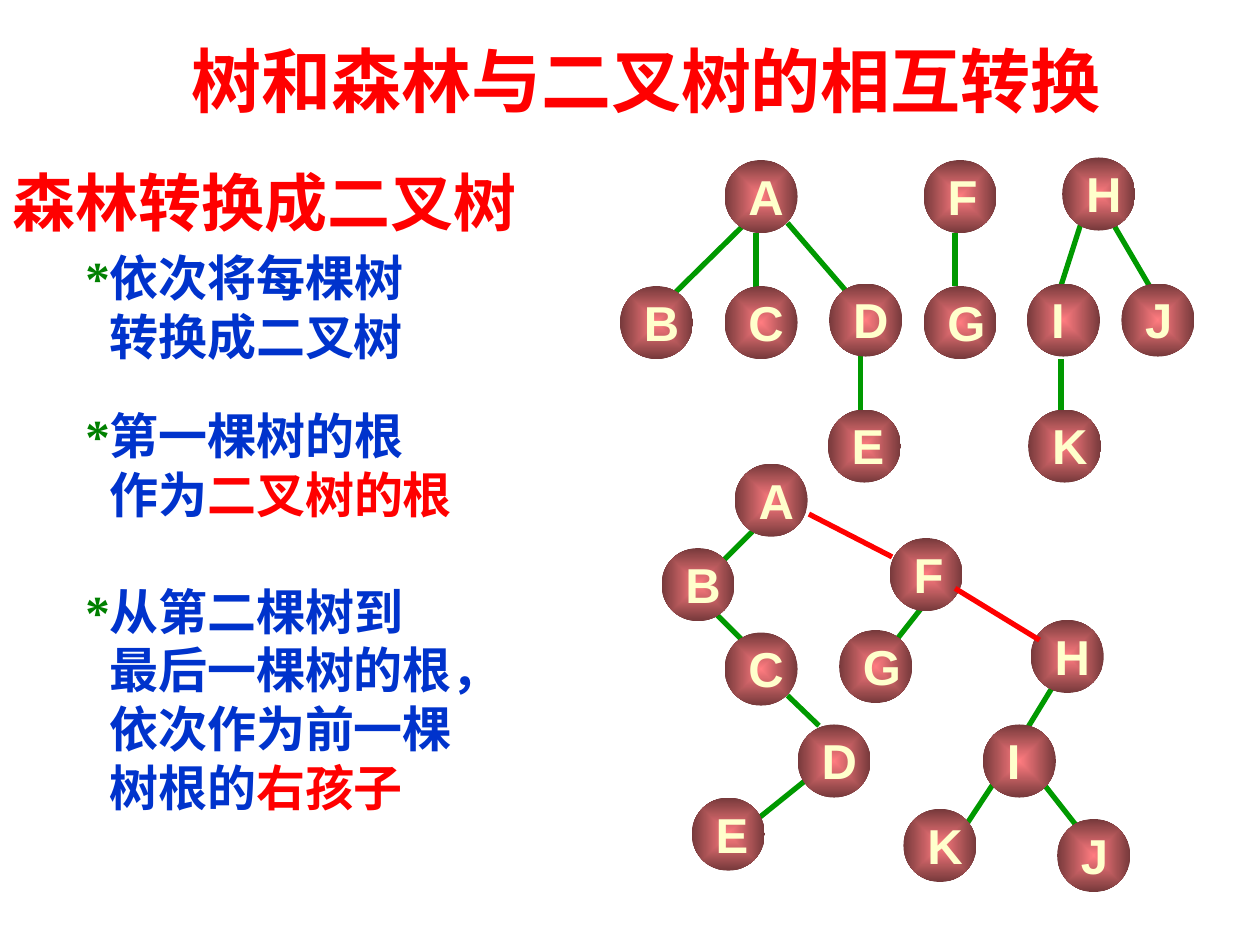
from dataclasses import dataclass

from pptx import Presentation
from pptx import util as u
from pptx.dml.color import RGBColor
from pptx.enum import shapes, text
from pptx.oxml import parse_xml
from pptx.oxml.ns import nsdecls, qn


@dataclass(frozen=True)
class Theme:
    """Colours, fonts and sizes of the slide."""
    heading: str = "FF0000"
    body: str = "0033CC"
    star: str = "008000"
    edge: str = "009900"
    link: str = "FF0000"
    letter: str = "FFFFCC"
    glow: str = "FF7C80"
    rim: str = "76393B"
    serif: str = "Times New Roman"
    sans: str = "Arial"
    title_size: int = 40
    subtitle_size: int = 36
    text_size: int = 28
    edge_width: int = 3


THEME = Theme()
NODE = 58
LETTER_WIDTHS = {"E": 46, "F": 44, "G": 50, "I": 31, "J": 41}

FOREST = dict(
    nodes={"A": (83, 2), "B": (0, 102), "C": (83, 102), "D": (166, 100), "E": (165, 200),
           "F": (241, 2), "G": (241, 102), "H": (351, 0), "I": (323, 100), "J": (398, 100),
           "K": (324, 200)},
    edges=[(391, 52, 425, 110), (366, 52, 350, 102), (350, 160, 350, 202), (133, 52, 183, 110),
           (100, 52, 41, 110), (108, 60, 108, 110), (266, 60, 266, 102), (191, 152, 191, 202)])
FIRST_TREE = dict(
    nodes={"A": (58, 0), "B": (0, 67), "C": (50, 134), "D": (108, 207), "E": (24, 265)},
    edges=[(100, 184, 125, 208), (91, 35, 33, 93), (41, 117, 66, 142), (116, 250, 75, 283)])
SECOND_TREE = dict(nodes={"F": (40, 0), "G": (0, 73)}, edges=[(65, 56, 32, 98)])
THIRD_TREE = dict(
    nodes={"H": (101, 0), "I": (63, 83), "J": (122, 158), "K": (0, 150)},
    edges=[(108, 126, 141, 168), (124, 44, 99, 85), (74, 126, 41, 176)])

FIRST_STEP = [
    [("*", THEME.star), ("依次将每棵树", THEME.body)],
    [("转换成二叉树", THEME.body)],
]
NEXT_STEPS = [
    [("*", THEME.star), ("第一棵树的根", THEME.body)],
    [("作为", THEME.body), ("二叉树的根", THEME.heading)],
    [("*", THEME.star), ("从第二棵树到", THEME.body)],
    [("最后一棵树的根，", THEME.body)],
    [("依次作为前一棵", THEME.body)],
    [("树根的", THEME.body), ("右孩子", THEME.heading)],
]


def px(length):
    """Turn px, 100 to the inch, into EMU."""
    return u.Emu(length * 9144)


def set_font(paragraph, size, color, name):
    """Format a paragraph in bold."""
    font = paragraph.font
    font.size, font.bold, font.name = u.Pt(size), True, name
    font.color.rgb = RGBColor.from_string(color)


def add_title(slide, box, words):
    """Move and format the title placeholder."""
    title = slide.shapes.title
    title.left, title.top, title.width, title.height = map(px, box)
    frame = title.text_frame
    frame.text = words
    frame.vertical_anchor = text.MSO_ANCHOR.TOP
    frame.auto_size = text.MSO_AUTO_SIZE.NONE
    frame.paragraphs[0].alignment = text.PP_ALIGN.LEFT
    set_font(frame.paragraphs[0], THEME.title_size, THEME.heading, THEME.serif)


def add_frame(parent, box, wrap=True):
    """Add a text box centred vertically and return its frame."""
    frame = parent.add_textbox(*map(px, box)).text_frame
    frame.word_wrap = wrap
    frame.vertical_anchor = text.MSO_ANCHOR.MIDDLE
    return frame


def add_subtitle(slide, box, words):
    """Place the heading above the steps."""
    frame = add_frame(slide.shapes, box)
    frame.text = words
    set_font(frame.paragraphs[0], THEME.subtitle_size, THEME.heading, THEME.serif)


def add_steps(slide, box, lines):
    """Place starred steps with indented continuation lines."""
    frame = add_frame(slide.shapes, box)
    for index, parts in enumerate(lines):
        line = frame.paragraphs[0] if index == 0 else frame.add_paragraph()
        if parts[0][0] != "*":
            line._p.get_or_add_pPr().set("marL", str(px(19)))
        elif index:
            line.space_before = u.Pt(33)
        set_font(line, THEME.text_size, THEME.body, THEME.serif)
        for words, color in parts:
            run = line.add_run()
            run.text = words
            run.font.color.rgb = RGBColor.from_string(color)


def add_edge(parent, start, end, color):
    """Draw a straight edge without shadow."""
    edge = parent.add_connector(shapes.MSO_CONNECTOR.STRAIGHT, *map(px, (*start, *end)))
    edge.line.color.rgb = RGBColor.from_string(color)
    edge.line.width = u.Pt(THEME.edge_width)
    edge._element.spPr.append(parse_xml(f"<a:effectLst {nsdecls('a')}/>"))


def add_ball(parent, left, top):
    """Draw a node with a glow from its centre."""
    ball = parent.add_shape(shapes.MSO_SHAPE.OVAL, *map(px, (left, top, NODE, NODE)))
    ball.shadow.inherit = False
    ball.line.fill.background()
    ball.fill.gradient()
    for stop, color, position in zip(ball.fill.gradient_stops, (THEME.glow, THEME.rim), (0, 1)):
        stop.color.rgb = RGBColor.from_string(color)
        stop.position = position
    gradient = ball._element.spPr.find(qn("a:gradFill"))
    gradient.replace(gradient.find(qn("a:lin")), parse_xml(
        f'<a:path {nsdecls("a")} path="rect">'
        '<a:fillToRect l="50000" t="50000" r="50000" b="50000"/></a:path>'))


def add_letter(parent, left, top, letter):
    """Write the letter of a node."""
    frame = add_frame(parent, (left + 9, top, LETTER_WIDTHS.get(letter, 48), 57), wrap=False)
    frame.text = letter
    frame.paragraphs[0].alignment = text.PP_ALIGN.CENTER
    set_font(frame.paragraphs[0], THEME.text_size, THEME.letter, THEME.sans)


def add_tree(slide, left, top, nodes, edges):
    """Group edges, nodes and letters from the given corner."""
    group = slide.shapes.add_group_shape().shapes
    for x1, y1, x2, y2 in edges:
        add_edge(group, (left + x1, top + y1), (left + x2, top + y2), THEME.edge)
    for x, y in nodes.values():
        add_ball(group, left + x, top + y)
    for letter, (x, y) in nodes.items():
        add_letter(group, left + x, top + y, letter)


def add_binary_tree(slide, left, top):
    """Place the three converted trees and link their roots."""
    add_tree(slide, left, top, **FIRST_TREE)
    add_tree(slide, left + 141, top + 59, **SECOND_TREE)
    add_tree(slide, left + 192, top + 124, **THIRD_TREE)
    add_edge(slide.shapes, (left + 117, top + 40), (left + 183, top + 74), THEME.link)
    add_edge(slide.shapes, (left + 233, top + 99), (left + 300, top + 140), THEME.link)


def main():
    """Build and save the slide."""
    deck = Presentation()
    deck.slide_width, deck.slide_height = px(1000), px(750)
    slide = deck.slides.add_slide(deck.slide_layouts.get_by_name("Title Only"))
    add_title(slide, (142, 25, 767, 77), "树和森林与二叉树的相互转换")
    add_tree(slide, 492, 125, **FOREST)
    add_subtitle(slide, (0, 125, 483, 70), "森林转换成二叉树")
    add_steps(slide, (58, 168, 283, 150), FIRST_STEP)
    add_steps(slide, (58, 293, 383, 384), NEXT_STEPS)
    add_binary_tree(slide, 525, 368)
    deck.save("out.pptx")


if __name__ == "__main__":
    main()
